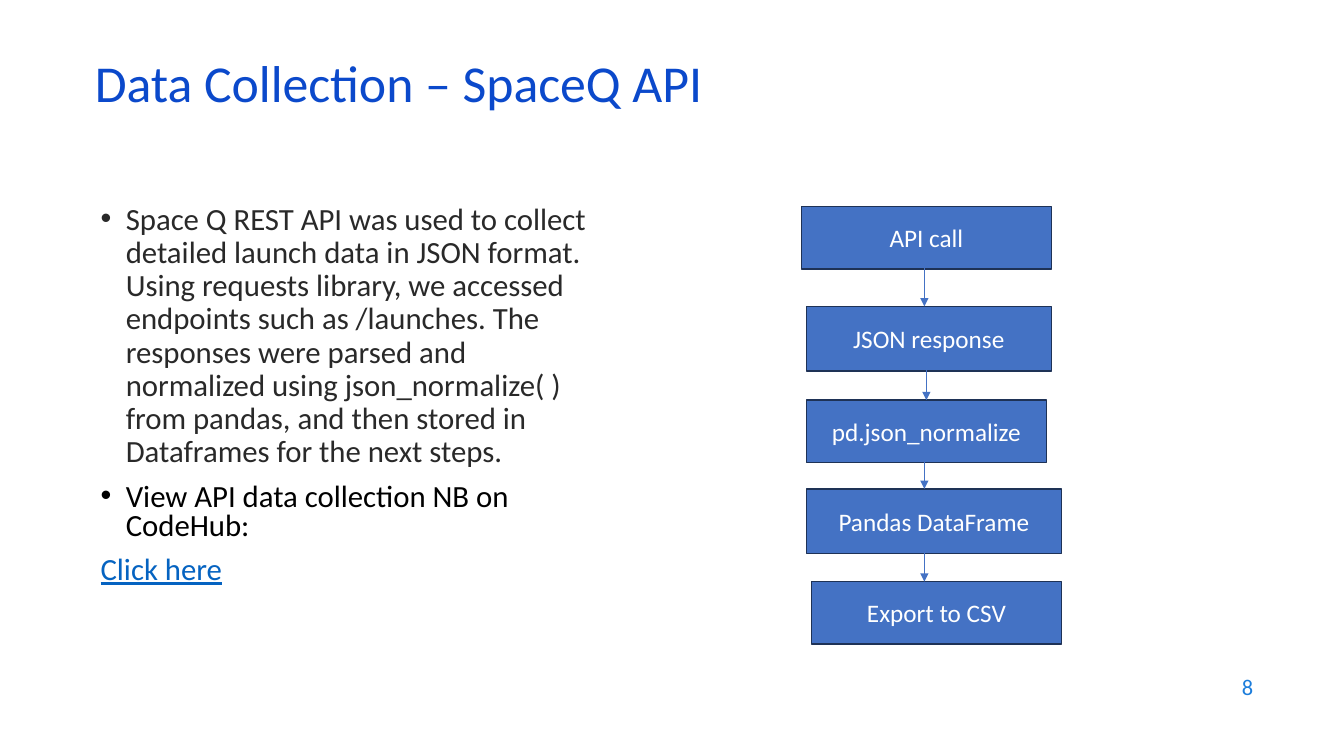
"""Build a slide with notes on data collection beside a flow of steps."""
from lxml.etree import SubElement as Sub
from pptx import Presentation
from pptx.dml.color import RGBColor as RGB
from pptx.enum.shapes import MSO_CONNECTOR as Link, MSO_SHAPE as Shape
from pptx.enum.text import MSO_ANCHOR as Anchor, MSO_AUTO_SIZE as Fit, PP_ALIGN as Align
from pptx.oxml.ns import qn
from pptx.util import Inches, Pt

WIDE, HIGH = Inches(13.33), Inches(7.5)
COL, ROW = WIDE / 100, HIGH / 100
FONT = "Calibri"
BLUE = RGB(0x0B, 0x49, 0xCB)
SKY = RGB(0x1C, 0x7D, 0xDB)
LINK = RGB(0x05, 0x63, 0xC1)
STEEL = RGB(0x44, 0x72, 0xC4)
NAVY = RGB(0x1E, 0x32, 0x56)
GREY = RGB(0x29, 0x29, 0x29)
BLACK = RGB(0, 0, 0)
WHITE = RGB(0xFF, 0xFF, 0xFF)

STEPS = [
    ("API call", 59.63, 27.33, 18.6, 8.27),
    ("JSON response", 60, 40.53, 18.23, 8.53),
    ("pd.json_normalize", 60, 52.93, 17.85, 8.27),
    ("Pandas DataFrame", 60, 64.67, 18.98, 8.53),
    ("Export to CSV", 60.38, 76.93, 18.6, 8.27),
]
AXES = [68.78, 68.93, 68.78, 68.78]
REACH = 5.6

STORY = (
    "Space Q REST API was used to collect detailed launch data in JSON format. "
    "Using requests library, we accessed endpoints such as /launches. "
    "The responses were parsed and normalized using json_normalize( ) from pandas, "
    "and then stored in Dataframes for the next steps."
)


def place(x, y, w, h):
    """Turn grid columns and rows into lengths."""
    return int(x * COL), int(y * ROW), int(w * COL), int(h * ROW)


def write(par, text, size, color, align=Align.LEFT, lead=1.0, gap=0,
          bullet=False, under=False):
    """Fill a paragraph with formatted text."""
    if bullet:
        props = par._p.get_or_add_pPr()
        props.set("marL", str(Inches(0.25)))
        props.set("indent", str(-Inches(0.25)))
        Sub(props, qn("a:buFont"), typeface="Arial")
        Sub(props, qn("a:buChar"), char="•")
    par.alignment, par.line_spacing, par.space_before = align, lead, Pt(gap)
    run = par.add_run()
    run.text = text
    font = run.font
    font.name, font.size, font.underline = FONT, Pt(size), under
    font.color.rgb = color


def set_frame(shape, anchor=Anchor.MIDDLE):
    """Prepare a text frame and return it."""
    frame = shape.text_frame
    frame.word_wrap, frame.auto_size = True, Fit.NONE
    frame.vertical_anchor = anchor
    return frame


def add_title(slide, text):
    """Move and fill the title placeholder."""
    title = slide.shapes.title
    title.left, title.top, title.width, title.height = place(6.3, 7.87, 86.25, 8)
    write(set_frame(title).paragraphs[0], text, 37, BLUE, lead=0.7)


def add_notes(slide):
    """Add the bulleted text and the link line."""
    box = slide.shapes.add_textbox(*place(6.75, 26.27, 38.03, 61.6))
    frame = set_frame(box, Anchor.TOP)
    write(frame.paragraphs[0], STORY, 22, GREY, lead=0.9, bullet=True)
    write(frame.add_paragraph(), "View API data collection NB on CodeHub:", 22, BLACK,
          lead=0.8, gap=10, bullet=True)
    write(frame.add_paragraph(), "Click here", 22, LINK, lead=0.8, gap=10, under=True)


def add_step(slide, text, *area):
    """Add one box of the flow."""
    box = slide.shapes.add_shape(Shape.RECTANGLE, *place(*area))
    box.shadow.inherit = False
    box.fill.solid()
    box.fill.fore_color.rgb = STEEL
    box.line.color.rgb, box.line.width = NAVY, Pt(1)
    write(set_frame(box).paragraphs[0], text, 18, WHITE, align=Align.CENTER)


def add_arrow(slide, x, end):
    """Add a downward arrow that stops at the given row."""
    left, top, _, drop = place(x, end - REACH, 0, REACH)
    arrow = slide.shapes.add_connector(Link.STRAIGHT, left, top, left, top + drop)
    arrow.line.color.rgb, arrow.line.width = STEEL, Pt(0.5)
    Sub(arrow.line._get_or_add_ln(), qn("a:tailEnd"), type="triangle")
    Sub(arrow._element.spPr, qn("a:effectLst"))


def add_number(slide, text):
    """Add the slide number."""
    box = slide.shapes.add_textbox(*place(71.48, 87.87, 22.5, 5.87))
    write(set_frame(box).paragraphs[0], text, 16, SKY, align=Align.RIGHT)


def main():
    """Build and save the slide."""
    deck = Presentation()
    deck.slide_width, deck.slide_height = WIDE, HIGH
    slide = deck.slides.add_slide(deck.slide_layouts[5])
    add_title(slide, "Data Collection – SpaceQ API")
    add_notes(slide)
    for step in STEPS:
        add_step(slide, *step)
    for x, step in zip(AXES, STEPS[1:]):
        add_arrow(slide, x, step[2])
    add_number(slide, "8")
    deck.save("out.pptx")


if __name__ == "__main__":
    main()
